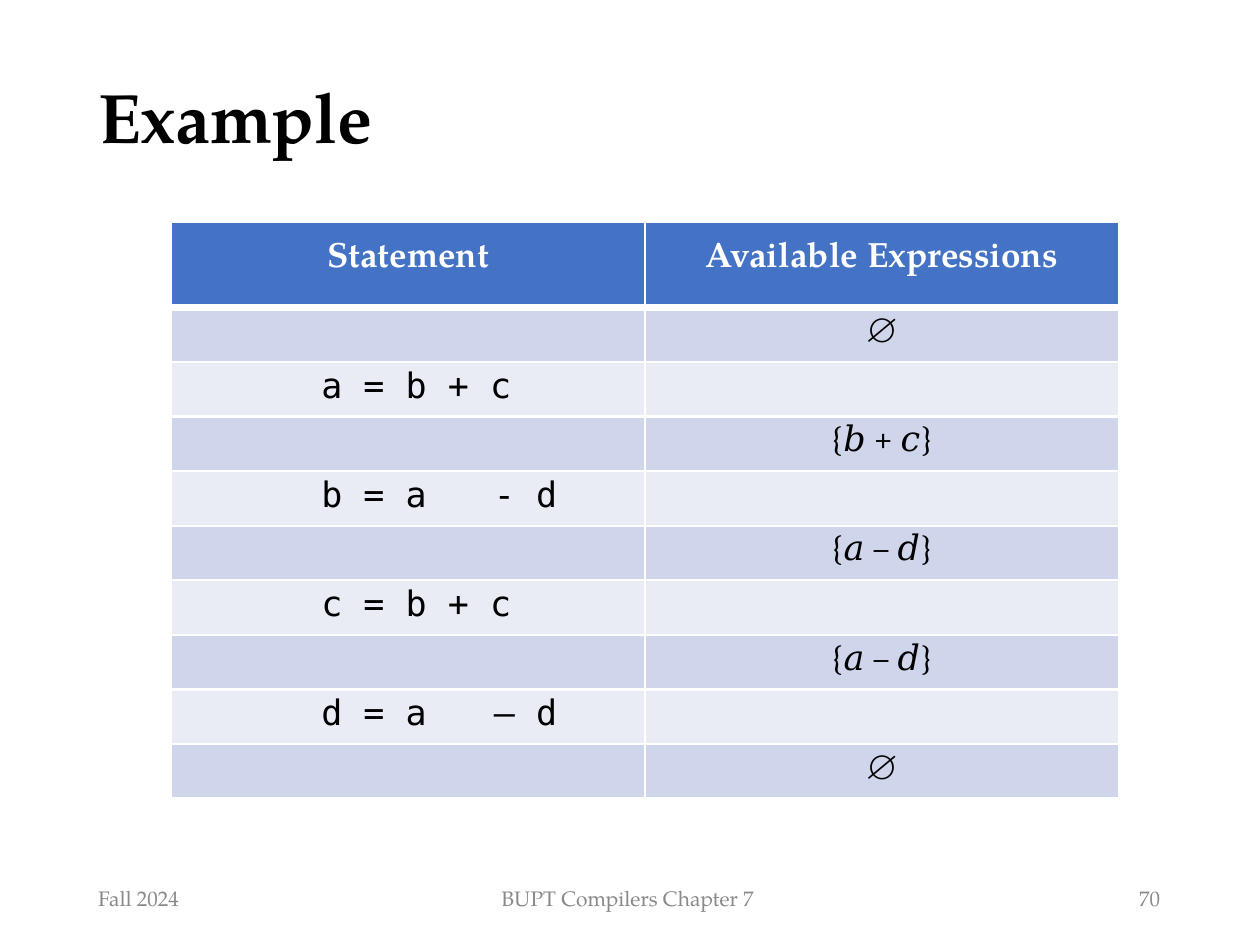
from dataclasses import dataclass

from lxml.etree import SubElement, fromstring
from pptx import Presentation
from pptx.dml.color import RGBColor
from pptx.enum.text import MSO_ANCHOR, PP_ALIGN
from pptx.oxml.ns import nsdecls, qn
from pptx.util import Inches, Pt


@dataclass(frozen=True)
class Theme:
    """Colours, fonts and type sizes of the slide."""
    ink: str = "000000"
    white: str = "FFFFFF"
    muted: str = "898989"
    header: str = "4472C4"
    bands: tuple = ("CFD5EA", "E9EBF5")
    text_font: str = "TeX Gyre Pagella"
    code_font: str = "DejaVu Sans Mono"
    math_font: str = "Cambria"
    title_size: float = 40
    table_size: float = 20
    footer_size: float = 12
    thin_line: float = 1.5
    thick_line: float = 4.25


THEME = Theme()
HEADINGS = ("Statement", "Available Expressions")
ROWS = (
    ("", "∅"),
    ("a = b + c", ""),
    ("", "{𝑏 + 𝑐}"),
    ("b = a\t- d", ""),
    ("", "{𝑎 – 𝑑}"),
    ("c = b + c", ""),
    ("", "{𝑎 – 𝑑}"),
    ("d = a\t– d", ""),
    ("", "∅"),
)
FOOTERS = (
    ("Fall 2024", 0.78, 0.67),
    ("BUPT Compilers Chapter 7", 3.98, 2.05),
    ("70", 9.04, 0.21),
)


def style_paragraph(paragraph, name, size, color, bold=False):
    """Set the font of a whole paragraph."""
    font = paragraph.font
    font.name, font.size, font.bold = name, Pt(size), bold
    font.color.rgb = RGBColor.from_string(color)


def set_margins(target, left=0, top=0):
    """Set the left and top insets in inches and clear the others."""
    target.margin_left, target.margin_top = Inches(left), Inches(top)
    target.margin_right = target.margin_bottom = 0


def add_tab_stop(paragraph, position):
    """Add a left tab stop at a distance in inches."""
    tab_list = SubElement(paragraph._p.get_or_add_pPr(), qn("a:tabLst"))
    SubElement(tab_list, qn("a:tab"), pos=str(Inches(position)), algn="l")


def set_borders(cell, top, bottom):
    """Draw white cell borders with the given top and bottom widths."""
    widths = {"L": THEME.thin_line, "R": THEME.thin_line, "T": top, "B": bottom}
    for index, (side, width) in enumerate(widths.items()):
        border = fromstring(
            f'<a:ln{side} {nsdecls("a")} w="{Pt(width)}"><a:solidFill>'
            f'<a:srgbClr val="{THEME.white}"/></a:solidFill></a:ln{side}>')
        cell._tc.get_or_add_tcPr().insert(index, border)


def fill_cell(cell, row, column, text):
    """Colour one table cell and write its text."""
    cell.fill.solid()
    color = THEME.header if row == 0 else THEME.bands[(row - 1) % 2]
    cell.fill.fore_color.rgb = RGBColor.from_string(color)
    set_borders(cell,
                THEME.thick_line if row == 1 else THEME.thin_line,
                THEME.thick_line if row == 0 else THEME.thin_line)
    if not text:
        return
    left = 0 if column else 1.24 if row == 0 else 1.19
    set_margins(cell, left, 0.16 if row == 0 else 0.03)
    paragraph = cell.text_frame.paragraphs[0]
    paragraph.text = text
    paragraph.alignment = PP_ALIGN.CENTER if column else PP_ALIGN.LEFT
    if "\t" in text:
        add_tab_stop(paragraph, 1.37)
    if row == 0:
        style_paragraph(paragraph, THEME.text_font, THEME.table_size, THEME.white, True)
    else:
        name = THEME.math_font if column else THEME.code_font
        style_paragraph(paragraph, name, THEME.table_size, THEME.ink)


def add_expression_table(slide, left, top, width, height):
    """Add the table of statements and available expressions."""
    rows = (HEADINGS, *ROWS)
    table = slide.shapes.add_table(len(rows), len(HEADINGS), left, top, width, height).table
    table.first_row = table.horz_banding = False
    header_height = Inches(0.68)
    body_height = (height - header_height) // len(ROWS)
    for row, texts in enumerate(rows):
        table.rows[row].height = body_height if row else header_height
        for column, text in enumerate(texts):
            fill_cell(table.cell(row, column), row, column, text)


def place_title(slide, left, top, width, height):
    """Move and format the title placeholder."""
    title = slide.shapes.title
    title.left, title.top, title.width, title.height = left, top, width, height
    frame = title.text_frame
    frame.text = "Example"
    frame.word_wrap = True
    frame.vertical_anchor = MSO_ANCHOR.TOP
    set_margins(frame, 0.01, 0.01)
    paragraph = frame.paragraphs[0]
    paragraph.alignment = PP_ALIGN.LEFT
    style_paragraph(paragraph, THEME.text_font, THEME.title_size, THEME.ink, True)


def add_footer(slide, top, height):
    """Add the date, course name and page number along the bottom."""
    for text, left, width in FOOTERS:
        box = slide.shapes.add_textbox(Inches(left), top, Inches(width), height)
        frame = box.text_frame
        frame.text = text
        frame.word_wrap = False
        set_margins(frame, top=0.02)
        style_paragraph(frame.paragraphs[0], THEME.text_font, THEME.footer_size, THEME.muted)


def main():
    """Build and save the presentation."""
    presentation = Presentation()
    presentation.slide_width, presentation.slide_height = Inches(10), Inches(7.5)
    slide = presentation.slides.add_slide(presentation.slide_layouts[5])
    place_title(slide, Inches(0.77), Inches(0.57), Inches(2.22), Inches(0.69))
    add_expression_table(slide, Inches(1.36), Inches(1.76), Inches(7.52), Inches(4.58))
    add_footer(slide, Inches(7.01), Inches(0.22))
    presentation.save("out.pptx")


if __name__ == "__main__":
    main()
